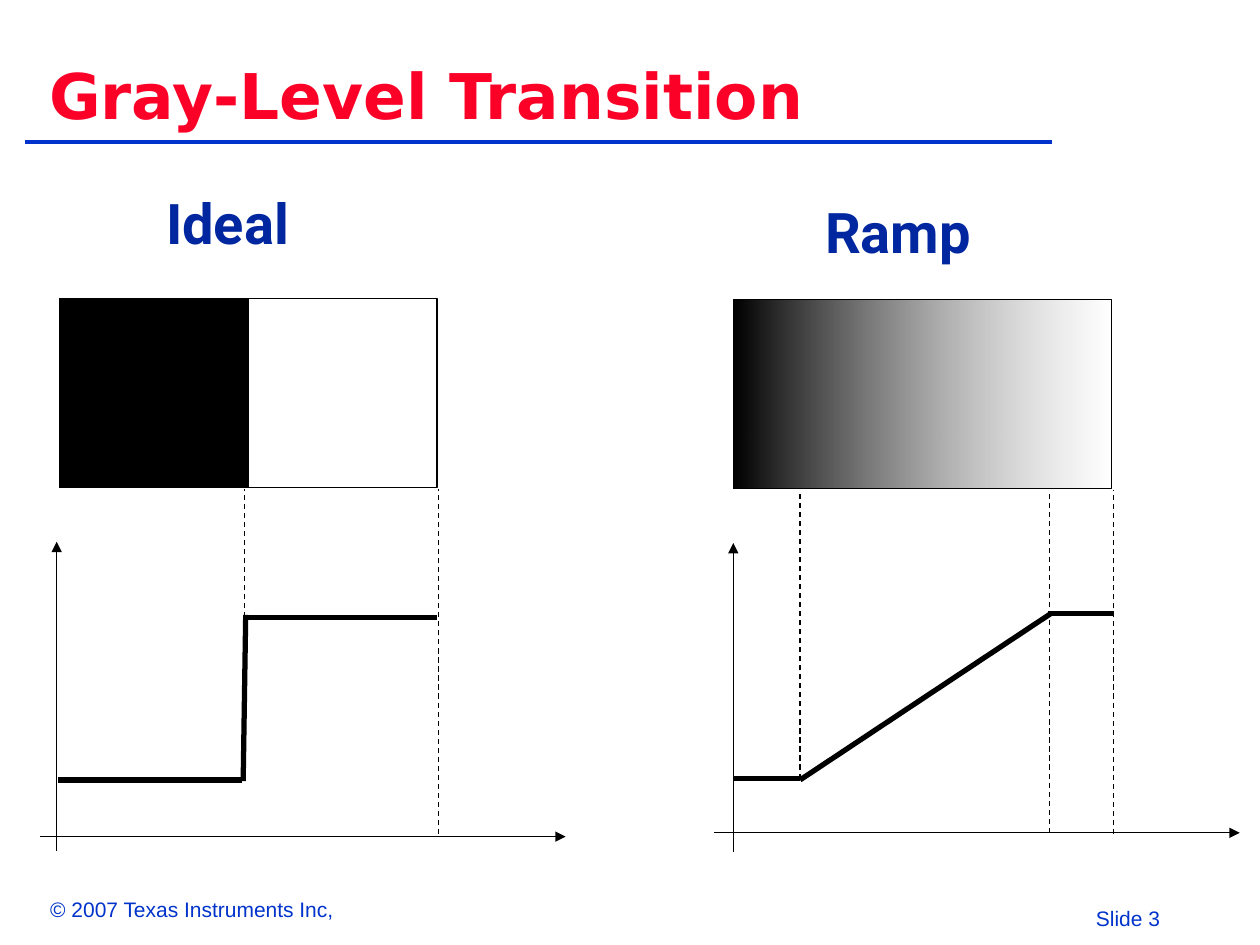
import pptx
import pptx.util
import pptx.dml.color
import pptx.enum.shapes
import pptx.enum.dml
import pptx.enum.text
import pptx.oxml.ns
import lxml.etree

Inches = pptx.util.Inches
Pt = pptx.util.Pt
qn = pptx.oxml.ns.qn
BLACK, WHITE, BLUE, NAVY, RED = "000000", "FFFFFF", "0033CC", "00279F", "FC0128"


def rgb(value):
    return pptx.dml.color.RGBColor.from_string(value)


def add_run(p, text, size, font, color, bold=False):
    r = p.add_run()
    r.text = text
    r.font.size = Pt(size)
    r.font.name = font
    r.font.bold = bold
    r.font.color.rgb = rgb(color)


def add_text(shapes, box, text, size, font, color, bold=False, wrap=True):
    tf = shapes.add_textbox(*map(Inches, box)).text_frame
    tf.word_wrap = wrap
    add_run(tf.paragraphs[0], text, size, font, color, bold)


def add_line(shapes, x1, y1, x2, y2, color=BLACK, width=0.75, dashed=False, arrow=False):
    line = shapes.add_connector(
        pptx.enum.shapes.MSO_CONNECTOR.STRAIGHT, *map(Inches, (x1, y1, x2, y2)))
    line.line.color.rgb = rgb(color)
    line.line.width = Pt(width)
    if dashed:
        line.line.dash_style = pptx.enum.dml.MSO_LINE.DASH
    if arrow:
        lxml.etree.SubElement(line.line._get_or_add_ln(), qn("a:tailEnd"), type="triangle")
    lxml.etree.SubElement(line._element.spPr, qn("a:effectLst"))


def add_rect(shapes, x, y, w, h, fill=None, outline=BLACK):
    sp = shapes.add_shape(
        pptx.enum.shapes.MSO_SHAPE.RECTANGLE, *map(Inches, (x, y, w, h)))
    sp.shadow.inherit = False
    if fill:
        sp.fill.solid()
        sp.fill.fore_color.rgb = rgb(fill)
    else:
        sp.fill.background()
    sp.line.color.rgb = rgb(outline)
    sp.line.width = Pt(0.75)
    return sp


def header(s, x, y, w, h):
    title = s.shapes.title
    title.left, title.top, title.width, title.height = map(Inches, (x, y, w, h))
    tf = title.text_frame
    tf.margin_left = Inches(0.19)
    tf.margin_top = tf.margin_right = tf.margin_bottom = 0
    tf.vertical_anchor = pptx.enum.text.MSO_ANCHOR.MIDDLE
    tf.word_wrap = True
    p = tf.paragraphs[0]
    p.alignment = pptx.enum.text.PP_ALIGN.LEFT
    p.line_spacing = 0.9
    add_run(p, "Gray-Level Transition", 36, "DejaVu Sans", RED, True)
    add_line(s.shapes, x, y + 0.71, x + 8.15, y + 0.71, BLUE, 2.25)


def footer(s, x, y):
    add_text(s.shapes, (x, y, 2.52, 0.3), "© 2007 Texas Instruments Inc,",
             12, "Arial", BLUE, wrap=False)
    add_text(s.shapes, (x + 8.3, y + 0.07, 1.37, 0.3), "Slide 3",
             12, "Arial", BLUE, wrap=False)


def ideal_image(shapes, x, y, w, h):
    add_rect(shapes, x, y, w / 2, h, BLACK)
    add_rect(shapes, x + w / 2 + 0.02, y, w / 2, h, WHITE, WHITE)
    add_rect(shapes, x, y, w, h)


def ramp_image(shapes, x, y, w, h):
    sp = add_rect(shapes, x, y, w, h)
    sp.fill.gradient()
    sp.fill.gradient_angle = 180
    for stop, color, position in zip(sp.fill.gradient_stops, (WHITE, BLACK), (0, 1)):
        stop.color.rgb = rgb(color)
        stop.position = position
    first = next(sp._element.spPr.iter(qn("a:srgbClr")))
    lxml.etree.SubElement(first, qn("a:alpha"), val="48000")


def profile(shapes, x, y, axis_x, axis_y, guides, curve):
    add_line(shapes, x + axis_x, y + 4.38, x + axis_x, y + 1.93, arrow=True)
    add_line(shapes, x - 0.15, y + axis_y, x + 4.02, y + axis_y, arrow=True)
    for gx, bottom in guides:
        add_line(shapes, x + gx, y + bottom, x + gx, y + 1.51, dashed=True)
    for x1, y1, x2, y2 in curve:
        add_line(shapes, x + x1, y + y1, x + x2, y + y2, width=3)


def panel(s, x, y, caption, caption_dx, caption_dy, draw_image, **plot):
    shapes = s.shapes.add_group_shape().shapes
    draw_image(shapes, x, y, 3, 1.5)
    profile(shapes, x, y, **plot)
    add_text(s.shapes, (x + caption_dx, y + caption_dy, 1.49, 0.64), caption,
             32, "Roboto", NAVY, True)


def main():
    prs = pptx.Presentation()
    prs.slide_width, prs.slide_height = Inches(10), Inches(7.5)
    s = prs.slides.add_slide(prs.slide_layouts[5])
    header(s, 0.2, 0.42, 8.11, 0.73)
    footer(s, 0.3, 7.07)
    panel(s, 5.82, 2.38, "Ramp", 0.63, -0.86, ramp_image,
          axis_x=0, axis_y=4.23,
          guides=[(3.02, 4.24), (2.51, 4.23), (0.53, 3.8)],
          curve=[(0, 3.8, 0.53, 3.8), (2.5, 2.49, 3.02, 2.49), (0.53, 3.81, 2.52, 2.49)])
    panel(s, 0.47, 2.37, "Ideal", 0.75, -0.92, ideal_image,
          axis_x=-0.02, axis_y=4.27,
          guides=[(1.47, 2.53), (3.01, 4.25)],
          curve=[(-0.01, 3.82, 1.45, 3.82), (1.5, 2.53, 3, 2.53), (1.48, 2.51, 1.46, 3.83)])
    prs.save("out.pptx")


if __name__ == "__main__":
    main()
